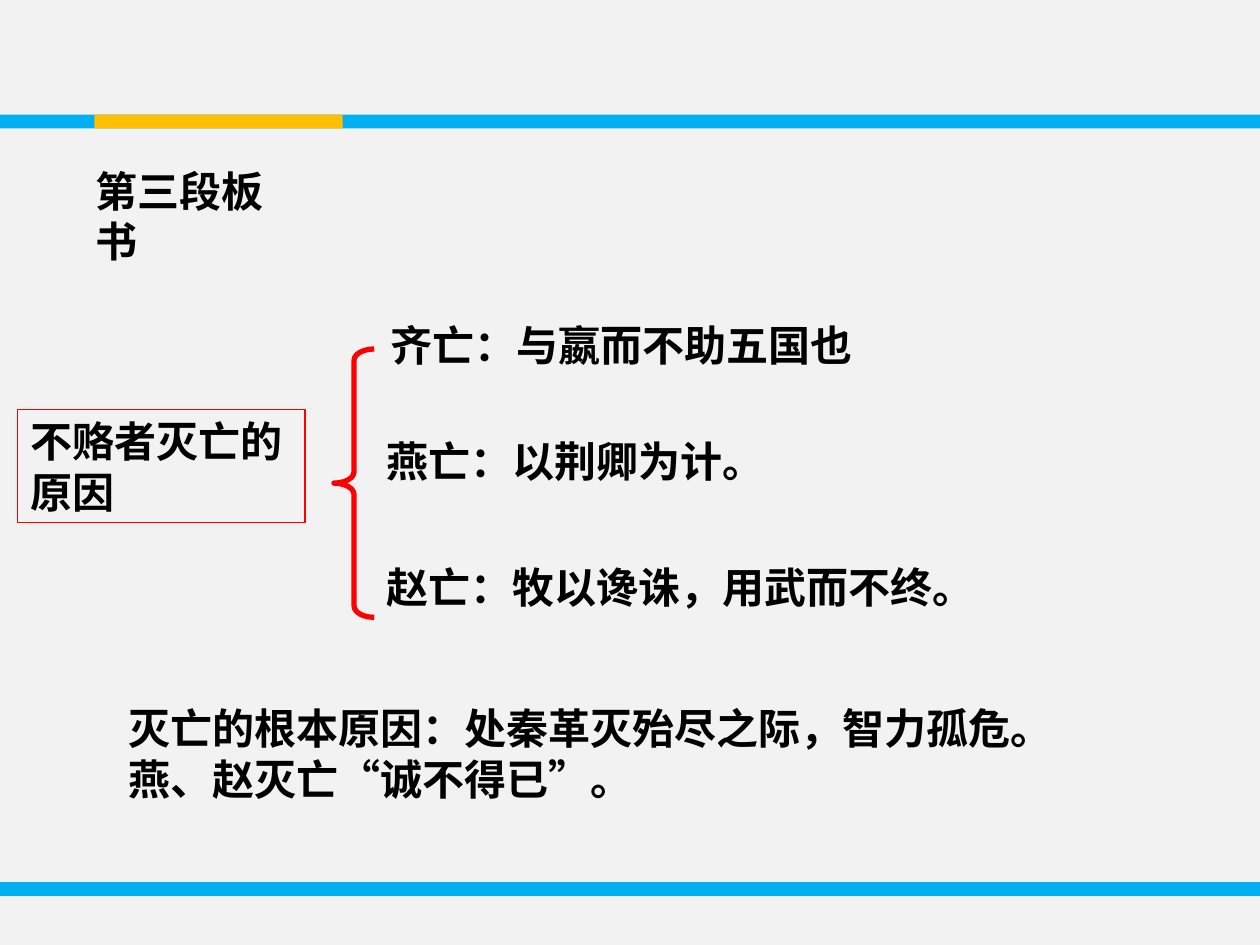
from dataclasses import dataclass

from lxml import etree
from pptx import Presentation
from pptx.dml.color import RGBColor
from pptx.enum.lang import MSO_LANGUAGE_ID
from pptx.enum.shapes import MSO_SHAPE
from pptx.enum.text import MSO_ANCHOR, MSO_AUTO_SIZE, PP_ALIGN
from pptx.oxml.ns import qn
from pptx.util import Inches, Pt

RECTANGLE = MSO_SHAPE.RECTANGLE
LEFT_BRACE = MSO_SHAPE.LEFT_BRACE
TOP = MSO_ANCHOR.TOP
LEFT = PP_ALIGN.LEFT
GROW = MSO_AUTO_SIZE.SHAPE_TO_FIT_TEXT
CHINESE = MSO_LANGUAGE_ID.SIMPLIFIED_CHINESE
TITLE_ONLY = 5


@dataclass(frozen=True)
class Theme:
    background: RGBColor = RGBColor(0xF2, 0xF2, 0xF2)
    band: RGBColor = RGBColor(0x00, 0xB0, 0xF0)
    accent: RGBColor = RGBColor(0xFF, 0xC0, 0x00)
    outline: RGBColor = RGBColor(0xFF, 0x00, 0x00)
    text: RGBColor = RGBColor(0x00, 0x00, 0x00)
    font: str = "Noto Sans CJK SC"
    size: int = 24


THEME = Theme()


def write_text(shape, text, size=THEME.size, color=THEME.text, bold=True, wrap=True):
    frame = shape.text_frame
    frame.word_wrap = wrap
    frame.auto_size = GROW
    frame.vertical_anchor = TOP
    paragraph = frame.paragraphs[0]
    paragraph.alignment = LEFT
    span = paragraph.add_run()
    span.text = text
    font = span.font
    font.name = THEME.font
    font.size = Pt(size)
    font.bold = bold
    font.color.rgb = color
    font.language_id = CHINESE
    # Chinese characters take the East Asian typeface
    latin = font._element.find(qn("a:latin"))
    east_asian = etree.Element(qn("a:ea"), typeface=THEME.font)
    latin.addnext(east_asian)


def place(shape, left, top, width, height):
    shape.left, shape.top = Inches(left), Inches(top)
    shape.width, shape.height = Inches(width), Inches(height)


def add_text(page, text, left, top, width, height=0.5, **text_format):
    box = page.shapes.add_textbox(
        Inches(left), Inches(top), Inches(width), Inches(height))
    write_text(box, text, **text_format)


def add_band(page, left, top, width, color):
    band = page.shapes.add_shape(
        RECTANGLE, Inches(left), Inches(top), Inches(width), Inches(0.11))
    band.shadow.inherit = False
    band.fill.solid()
    band.fill.fore_color.rgb = color
    band.line.fill.background()


def add_outline(page, kind, left, top, width, height, weight):
    shape = page.shapes.add_shape(
        kind, Inches(left), Inches(top), Inches(width), Inches(height))
    shape.shadow.inherit = False
    shape.fill.background()
    shape.line.color.rgb = THEME.outline
    shape.line.width = Pt(weight)
    return shape


def main():
    deck = Presentation()
    deck.slide_width, deck.slide_height = Inches(10), Inches(7.5)
    page = deck.slides.add_slide(deck.slide_layouts[TITLE_ONLY])
    page.background.fill.solid()
    page.background.fill.fore_color.rgb = THEME.background

    # Bands at the top and bottom
    add_band(page, 0, 7, 10, THEME.band)
    add_band(page, 0, 0.91, 10, THEME.band)
    add_band(page, 0.75, 0.91, 1.97, THEME.accent)

    # Title
    title = page.shapes.title
    place(title, 0.66, 1.26, 1.86, 0.5)
    write_text(title, "第三段板书", wrap=False)

    # Topic and its brace
    topic = add_outline(page, RECTANGLE, 0.14, 3.25, 2.28, 0.9, weight=0.75)
    write_text(topic, "不赂者灭亡的原因")
    brace = add_outline(page, LEFT_BRACE, 2.65, 2.77, 0.32, 2.13, weight=3)
    brace.adjustments[0] = 0.28

    # Fall of each state
    reasons = [
        ("齐亡：与嬴而不助五国也", 3, 2.49, 5.75),
        ("燕亡：以荆卿为计。", 2.97, 3.41, 4.63),
        ("赵亡：牧以谗诛，用武而不终。", 2.97, 4.41, 6.28),
    ]
    for text, left, top, width in reasons:
        add_text(page, text, left, top, width)

    # Root cause
    add_text(page, "灭亡的根本原因：处秦革灭殆尽之际，智力孤危。燕、赵灭亡“诚不得已”。",
             0.92, 5.53, 7.56, height=0.9)

    deck.save("out.pptx")


if __name__ == "__main__":
    main()
